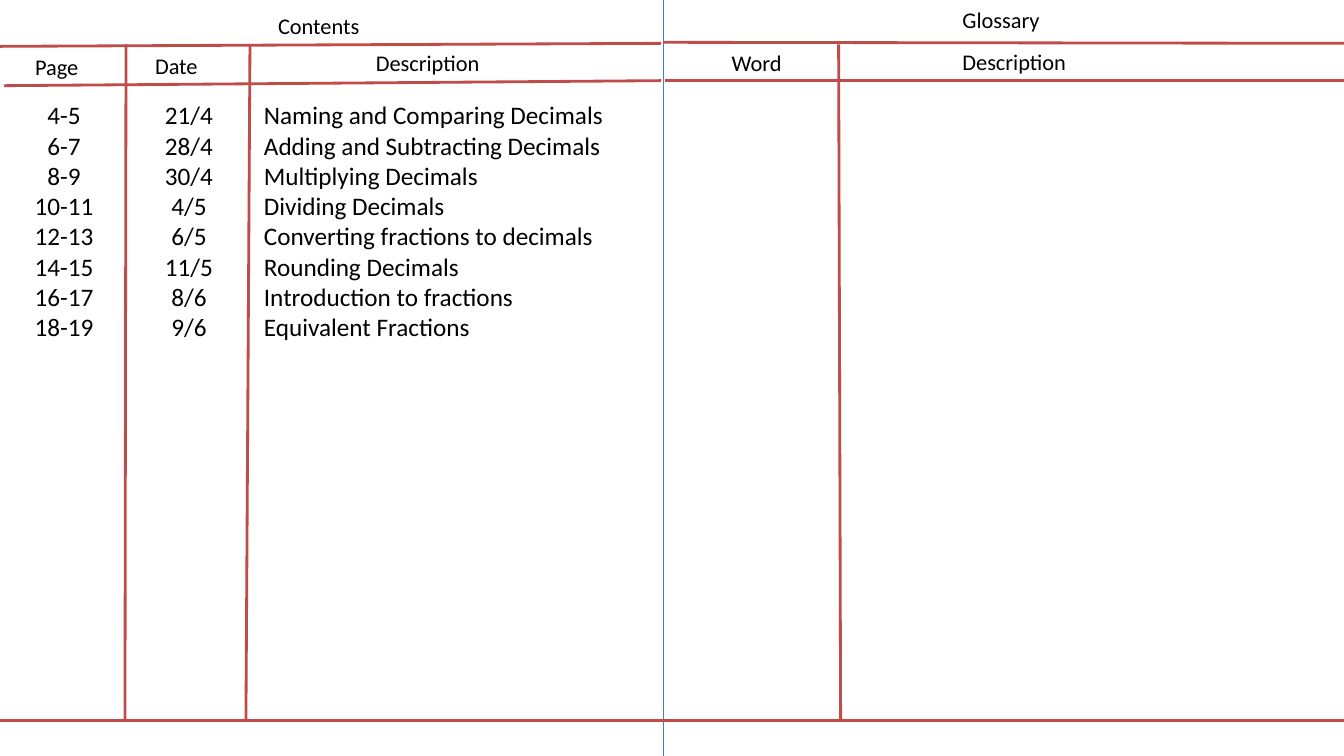
from pptx import Presentation
from pptx.dml.color import RGBColor
from pptx.enum.shapes import MSO_CONNECTOR
from pptx.enum.text import MSO_AUTO_SIZE, PP_ALIGN
from pptx.oxml.ns import qn
from pptx.util import Pt
from lxml import etree

WIDTH, HEIGHT = 960, 540
FOLD, BOTTOM = 473.76, 514.8
RED, BLUE, BLACK = "BF4C48", "4B7EBC", "000000"

RULES = [
    (0, 33.12, 472.32, 30.96),
    (2.88, 61.2, 472.32, 57.6),
    (0, BOTTOM, 475.2, BOTTOM),
    (FOLD, 30.24, WIDTH, 30.96),
    (475.2, 57.6, WIDTH, 57.6),
    (475.2, BOTTOM, WIDTH, BOTTOM),
    (90, 31.68, 89.28, BOTTOM),
    (178.56, 31.68, 175.68, BOTTOM),
    (599.04, 31.68, 600.48, BOTTOM),
]

HEADINGS = [
    ("Contents", 191.52, 5.04, 73.44, False),
    ("Page", 18, 34.56, 45.36, True),
    ("Date", 103.68, 33.84, 45.36, False),
    ("Description", 261.36, 31.68, 167.04, True),
    ("Glossary", 680.4, 0.72, 79.92, True),
    ("Word", 515.52, 31.68, 63.36, True),
    ("Description", 680.4, 30.96, 89.28, True),
]

ENTRIES = [
    ("4-5", "21/4", "Naming and Comparing Decimals"),
    ("6-7", "28/4", "Adding and Subtracting Decimals"),
    ("8-9", "30/4", "Multiplying Decimals"),
    ("10-11", "4/5", "Dividing Decimals"),
    ("12-13", "6/5", "Converting fractions to decimals"),
    ("14-15", "11/5", "Rounding Decimals"),
    ("16-17", "8/6", "Introduction to fractions"),
    ("18-19", "9/6", "Equivalent Fractions"),
]

COLUMNS = [
    (2.88, 85.68, PP_ALIGN.CENTER),
    (93.6, 82.8, PP_ALIGN.CENTER),
    (181.44, 291.6, PP_ALIGN.LEFT),
]


def color(value):
    return RGBColor.from_string(value)


def apply_format(target, values):
    for name, value in values.items():
        setattr(target, name, value)


def add_rule(slide, ends, line_color, width):
    connector = slide.shapes.add_connector(
        MSO_CONNECTOR.STRAIGHT, *(Pt(value) for value in ends)
    )
    connector.line.color.rgb = color(line_color)
    connector.line.width = Pt(width)
    etree.SubElement(connector._element.spPr, qn("a:effectLst"))


def add_text(slide, box, lines, size, alignment=PP_ALIGN.LEFT, wrap=True):
    shape = slide.shapes.add_textbox(*(Pt(value) for value in box))
    frame = shape.text_frame
    frame.text = "\n".join(lines)
    apply_format(
        frame, {"word_wrap": wrap, "auto_size": MSO_AUTO_SIZE.SHAPE_TO_FIT_TEXT}
    )
    for paragraph in frame.paragraphs:
        paragraph.alignment = alignment
        apply_format(paragraph.font, {"name": "Calibri", "size": Pt(size)})
        paragraph.font.color.rgb = color(BLACK)


def main():
    presentation = Presentation()
    apply_format(
        presentation, {"slide_width": Pt(WIDTH), "slide_height": Pt(HEIGHT)}
    )
    slide = presentation.slides.add_slide(presentation.slide_layouts[6])
    add_rule(slide, (FOLD, 0, FOLD, HEIGHT), BLUE, 0.75)
    for ends in RULES:
        add_rule(slide, ends, RED, 2)
    for heading, left, top, width, wrap in HEADINGS:
        add_text(slide, (left, top, width, 26.64), [heading], 16, wrap=wrap)
    for (left, width, alignment), lines in zip(COLUMNS, zip(*ENTRIES)):
        add_text(slide, (left, 67.68, width, 181.44), lines, 18, alignment)
    presentation.save("out.pptx")


if __name__ == "__main__":
    main()
